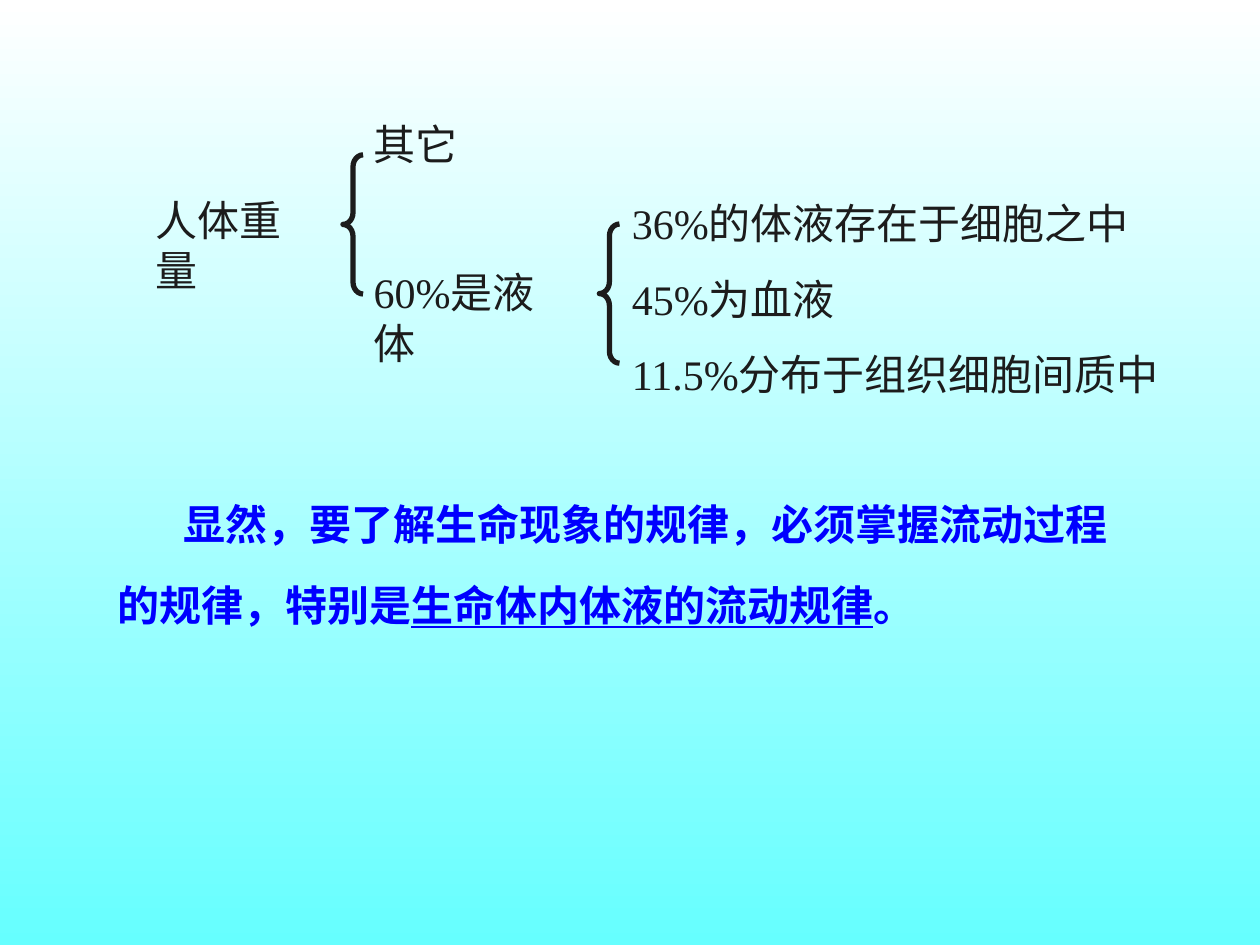
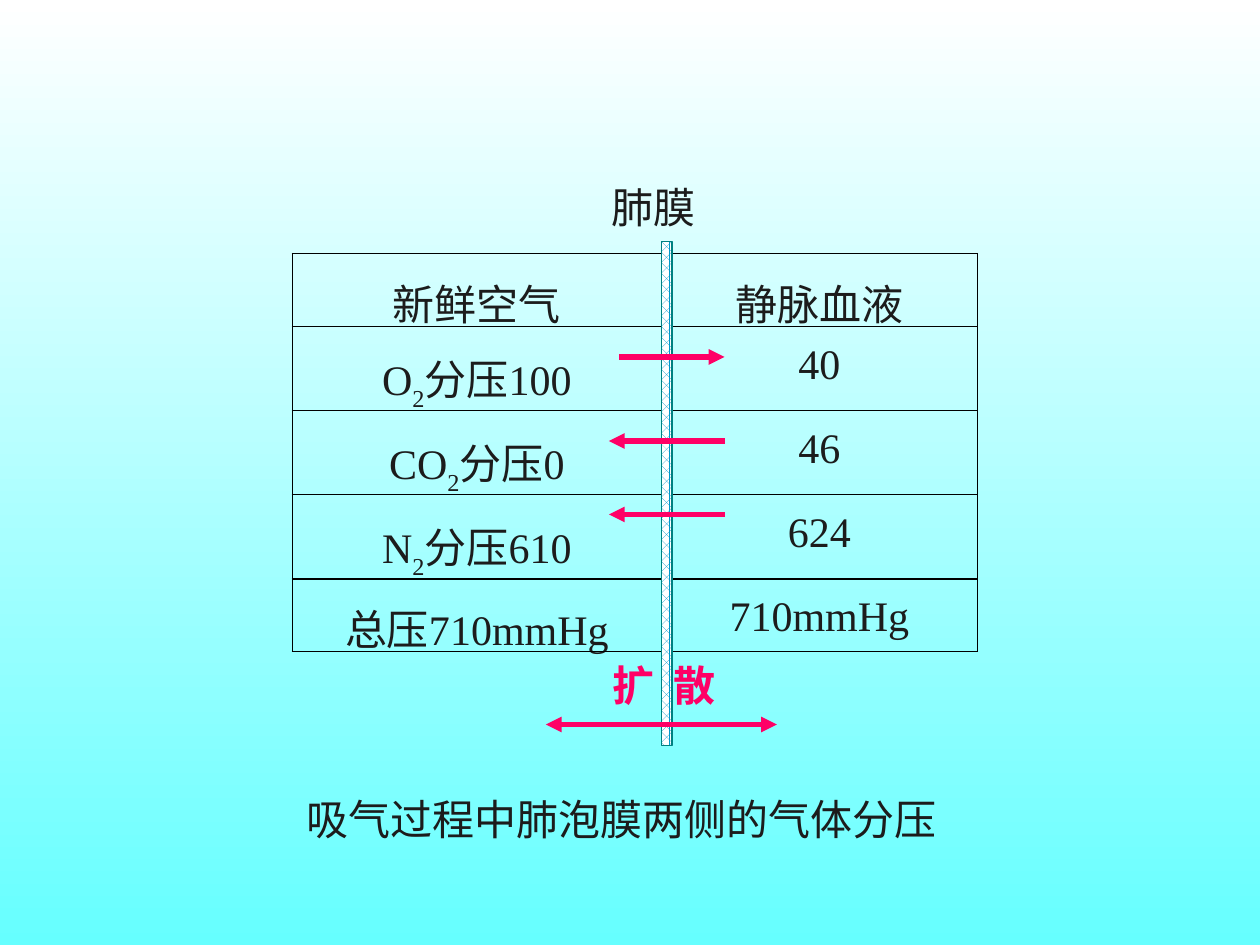
import lxml.etree
import pptx
import pptx.dml.color
import pptx.enum.dml
import pptx.enum.shapes
import pptx.enum.text
import pptx.oxml.ns
import pptx.util

Pt = pptx.util.Pt
RGBColor = pptx.dml.color.RGBColor
qn = pptx.oxml.ns.qn
CENTER = pptx.enum.text.PP_ALIGN.CENTER

WHITE = RGBColor(0xFF, 0xFF, 0xFF)
AQUA = RGBColor(0x66, 0xFF, 0xFF)
INK = RGBColor(0x1C, 0x1C, 0x1C)
BLUE = RGBColor(0x00, 0x00, 0xFF)
PINK = RGBColor(0xFF, 0x00, 0x66)
TEAL = RGBColor(0x00, 0x80, 0x80)
SEA = RGBColor(0x00, 0x99, 0xCC)
BLACK = RGBColor(0x00, 0x00, 0x00)

BODY = {"name": "Times New Roman", "size": Pt(24)}
STRONG = {**BODY, "bold": True}


def add_run(paragraph, text, style=BODY, color=INK):
    run = paragraph.add_run()
    run.text = text
    for attribute, value in style.items():
        setattr(run.font, attribute, value)
    run.font.color.rgb = color
    return run


def add_label(slide, place, lines, wrap=False, style=BODY, color=INK, **layout):
    frame = slide.shapes.add_textbox(*map(Pt, place)).text_frame
    frame.word_wrap = wrap
    frame.auto_size = pptx.enum.text.MSO_AUTO_SIZE.SHAPE_TO_FIT_TEXT
    for index, line in enumerate(lines):
        paragraph = frame.add_paragraph() if index else frame.paragraphs[0]
        for attribute, value in layout.items():
            setattr(paragraph, attribute, value)
        add_run(paragraph, line, style, color)
    return frame.paragraphs[0]


deck = pptx.Presentation()
deck.slide_width, deck.slide_height = Pt(720), Pt(540)
backdrop = deck.slide_master.background.fill
backdrop.gradient()
backdrop.gradient_angle = 270
for stop, color, position in zip(backdrop.gradient_stops, (WHITE, AQUA), (0, 1)):
    stop.color.rgb = color
    stop.position = position
blank = deck.slide_layouts[6]

fluids = deck.slides.add_slide(blank)
conclusion = add_label(
    fluids, (60, 264, 601, 99), ["显然，要了解生命现象的规律，必须掌握流动过程的规律，特别是"],
    wrap=True, style=STRONG, color=BLUE, line_spacing=1.6)
conclusion._p.get_or_add_pPr().set("indent", str(Pt(38)))
add_run(conclusion, "生命体内体液的流动规律", {**STRONG, "underline": True}, BLUE)
add_run(conclusion, "。", STRONG, BLUE)

add_label(fluids, (82, 107.5, 110, 36), ["人体重量"])
add_label(fluids, (206.5, 64, 63, 36), ["其它"])
add_label(fluids, (206.5, 149, 130, 36), ["60%是液体"], wrap=True)
add_label(
    fluids, (354, 95, 317, 137),
    ["36%的体液存在于细胞之中", "45%为血液", "11.5%分布于组织细胞间质中"],
    wrap=True, line_spacing=1.5)

for left, top in ((196, 88.5), (342.5, 128)):
    brace = fluids.shapes.add_shape(
        pptx.enum.shapes.MSO_SHAPE.LEFT_BRACE, Pt(left), Pt(top), Pt(11.5), Pt(79.5))
    brace.adjustments[0] = 0.59
    brace.shadow.inherit = False
    brace.fill.background()
    brace.line.color.rgb = INK
    brace.line.width = Pt(3)

gases = deck.slides.add_slide(blank)
pressures = [
    (["新鲜空气"], ["静脉血液"]),
    (["O", "2", "分压100"], ["40"]),
    (["CO", "2", "分压0"], ["46"]),
    (["N", "2", "分压610"], ["624"]),
    (["总压710mmHg"], ["710mmHg"]),
]
grid = gases.shapes.add_table(
    len(pressures), 2, Pt(167), Pt(145), Pt(391.5), Pt(208)).table
grid.first_row = grid.horz_banding = False
for column, width in zip(grid.columns, (211, 180.5)):
    column.width = Pt(width)
for row_index, sides in enumerate(pressures):
    grid.rows[row_index].height = Pt(41.6)
    for column_index, parts in enumerate(sides):
        cell = grid.cell(row_index, column_index)
        paragraph = cell.text_frame.paragraphs[0]
        paragraph.alignment = CENTER
        paragraph.line_spacing = 1.2
        for part in parts:
            run = add_run(paragraph, part)
            if part == "2":
                run._r.get_or_add_rPr().set("baseline", "-30000")
        heavy = {"lnL": column_index == 1, "lnR": column_index == 0,
                 "lnT": row_index in (0, 4), "lnB": row_index == 3}
        for edge, is_heavy in heavy.items():
            border = lxml.etree.SubElement(
                cell._tc.get_or_add_tcPr(), qn(f"a:{edge}"), w=str(Pt(1 if is_heavy else 0.75)))
            paint = lxml.etree.SubElement(border, qn("a:solidFill"))
            lxml.etree.SubElement(paint, qn("a:srgbClr"), val=str(BLACK))
        cell.fill.background()

add_label(gases, (342.5, 100, 63, 36), ["肺膜"])
add_label(gases, (168, 450, 380, 36), ["吸气过程中肺泡膜两侧的气体分压"])

membrane = gases.shapes.add_shape(
    pptx.enum.shapes.MSO_SHAPE.RECTANGLE, Pt(378), Pt(138), Pt(6), Pt(288))
membrane.shadow.inherit = False
membrane.fill.patterned()
membrane.fill.pattern = pptx.enum.dml.MSO_PATTERN.PERCENT_60
membrane.fill.fore_color.rgb = SEA
membrane.fill.back_color.rgb = WHITE
membrane.line.color.rgb = TEAL
membrane.line.width = Pt(0.75)

for start, end, height, tips in (
        (312, 444, 414, ("headEnd", "tailEnd")),
        (354, 414, 204, ("tailEnd",)),
        (414, 348, 252, ("tailEnd",)),
        (414, 348, 294, ("tailEnd",))):
    flow = gases.shapes.add_connector(
        pptx.enum.shapes.MSO_CONNECTOR.STRAIGHT, Pt(start), Pt(height), Pt(end), Pt(height))
    flow.line.color.rgb = PINK
    flow.line.width = Pt(3)
    outline = flow._element.spPr.find(qn("a:ln"))
    for tip in tips:
        lxml.etree.SubElement(outline, qn(f"a:{tip}"), type="triangle")
    lxml.etree.SubElement(flow._element.spPr, qn("a:effectLst"))

diffusion = add_label(
    gases, (342, 373.5, 75, 36), ["扩 散"], style=STRONG, color=PINK, alignment=CENTER)
diffusion.runs[0]._r.get_or_add_rPr().set("spc", "270")

deck.save("out.pptx")
